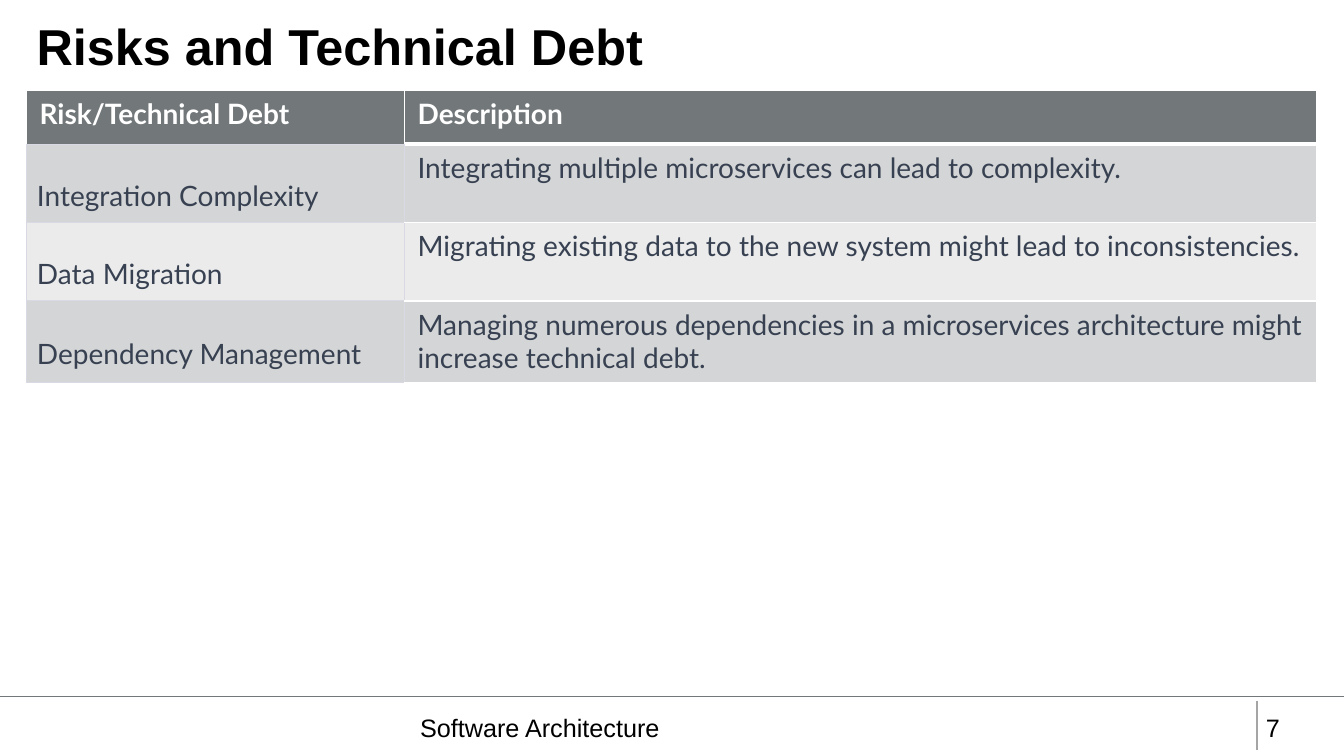
import pptx
import pptx.util
import pptx.dml.color
import pptx.enum.shapes
import pptx.enum.text
import pptx.oxml
import pptx.oxml.ns
import lxml.etree

Pt = pptx.util.Pt
MIDDLE = pptx.enum.text.MSO_ANCHOR.MIDDLE
TOP = pptx.enum.text.MSO_ANCHOR.TOP

TITLE = "Risks and Technical Debt"
RISKS = [
    ("Risk/Technical Debt", "Description"),
    ("Integration Complexity", "Integrating multiple microservices can lead to complexity."),
    ("Data Migration", "Migrating existing data to the new system might lead to inconsistencies."),
    ("Dependency Management",
     "Managing numerous dependencies in a microservices architecture might increase technical debt."),
]
FOOTERS = [("Software Architecture", 293, 595.4), ("7", 897.1, 51.1)]
RULES = [
    ((897.8, 500.4), (897.8, 535.7), "A5A5A5"),
    ((0, 497.5), (960, 497.5), "72777A"),
]
LEFT, WIDTH = 18.9, 921.6
COLUMN_WIDTHS = [270, 651.6]
ROW_HEIGHTS = [38.6, 55.5, 55.5, 58]
HEADER_FILL, BAND_FILLS = "72777A", ["EBEBEC", "D4D5D6"]
WHITE_EDGE, GREY_EDGE = ("FFFFFF", 1), ("D9D9E3", 0.75)


def color(value):
    return pptx.dml.color.RGBColor.from_string(value)


def style(para, name, size, value, bold=False):
    para.font.name = name
    para.font.size = Pt(size)
    para.font.bold = bold
    para.font.color.rgb = color(value)


def set_borders(cell, edges):
    properties = cell._tc.get_or_add_tcPr()
    for side, (value, width) in zip("LRTB", edges):
        properties.append(pptx.oxml.parse_xml(
            f'<a:ln{side} {pptx.oxml.ns.nsdecls("a")} w="{int(Pt(width))}">'
            f'<a:solidFill><a:srgbClr val="{value}"/></a:solidFill></a:ln{side}>'))


def cell_edges(row, column):
    if row == 0:
        return [WHITE_EDGE] * 3 + [("FFFFFF", 3) if column else GREY_EDGE]
    if column == 0:
        return [GREY_EDGE] * 4
    return [GREY_EDGE] + [WHITE_EDGE] * 3


def fill_cell(cell, text, row, column):
    is_label = row > 0 and column == 0
    side, vertical = (7.5, 7.5) if is_label else (9.4, 4.7)
    cell.margin_left = cell.margin_right = Pt(side)
    cell.margin_top = cell.margin_bottom = Pt(vertical)
    cell.vertical_anchor = MIDDLE if is_label else TOP
    cell.text = text
    para = cell.text_frame.paragraphs[0]
    style(para, "Lato", 20, "374151" if row else "FFFFFF", row == 0)
    if is_label:
        para.line_spacing = 1.71
    set_borders(cell, cell_edges(row, column))
    cell.fill.solid()
    cell.fill.fore_color.rgb = color(BAND_FILLS[row % 2] if row else HEADER_FILL)


def add_rule(page, start, end, value):
    rule = page.shapes.add_connector(
        pptx.enum.shapes.MSO_CONNECTOR.STRAIGHT, *map(Pt, start + end))
    rule.line.color.rgb = color(value)
    rule.line.width = Pt(1)
    lxml.etree.SubElement(rule._element.spPr, pptx.oxml.ns.qn("a:effectLst"))


def add_title(page):
    title = page.shapes.title
    title.left, title.top, title.width, title.height = map(Pt, (LEFT, 12.2, WIDTH, 46.1))
    title.text_frame.text = TITLE
    title.text_frame.vertical_anchor = MIDDLE
    para = title.text_frame.paragraphs[0]
    para.alignment = pptx.enum.text.PP_ALIGN.LEFT
    para.line_spacing = 0.9
    style(para, "Arial", 36, "000000", True)


def add_footer(page, text, left, width):
    box = page.shapes.add_textbox(Pt(left), Pt(505.4), Pt(width), Pt(29))
    box.text_frame.word_wrap = True
    box.text_frame.text = text
    style(box.text_frame.paragraphs[0], "Arial", 18, "000000")


def add_risk_table(page):
    table = page.shapes.add_table(
        len(RISKS), len(COLUMN_WIDTHS), Pt(LEFT), Pt(64.3),
        Pt(WIDTH), Pt(sum(ROW_HEIGHTS))).table
    for column, width in zip(table.columns, COLUMN_WIDTHS):
        column.width = Pt(width)
    for row, height in zip(table.rows, ROW_HEIGHTS):
        row.height = Pt(height)
    for row, texts in enumerate(RISKS):
        for column, text in enumerate(texts):
            fill_cell(table.cell(row, column), text, row, column)


def main():
    deck = pptx.Presentation()
    deck.slide_width, deck.slide_height = Pt(960), Pt(540)
    page = deck.slides.add_slide(deck.slide_layouts.get_by_name("Title Only"))
    for rule in RULES:
        add_rule(page, *rule)
    add_title(page)
    for footer in FOOTERS:
        add_footer(page, *footer)
    add_risk_table(page)
    deck.save("out.pptx")


if __name__ == "__main__":
    main()
